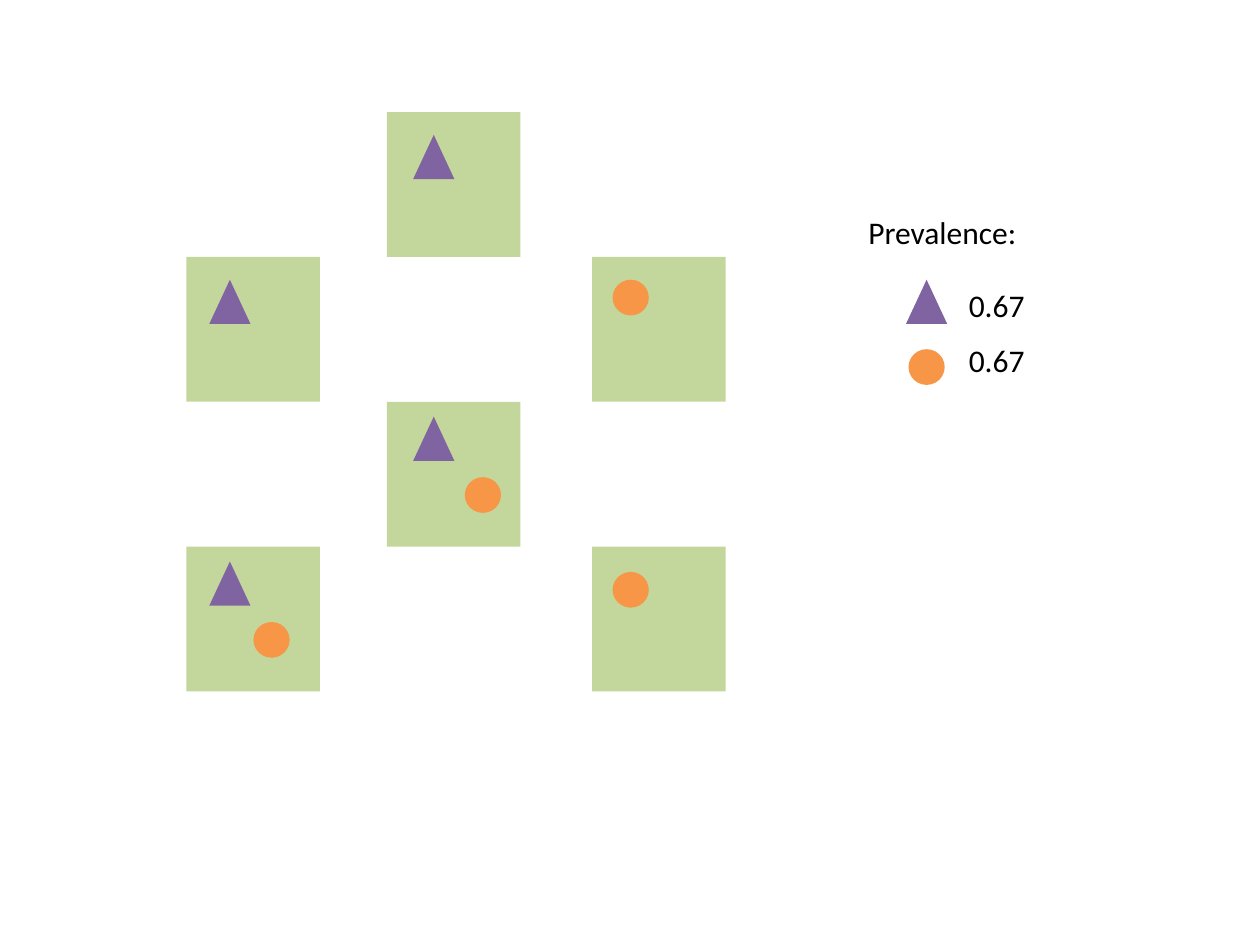
from dataclasses import dataclass

from pptx import Presentation
from pptx.dml.color import RGBColor
from pptx.enum.shapes import MSO_SHAPE
from pptx.enum.text import MSO_ANCHOR, MSO_AUTO_SIZE, PP_ALIGN
from pptx.util import Cm, Pt


@dataclass(frozen=True)
class Theme:
    patch: str = "C3D69B"
    triangle: str = "8064A2"
    circle: str = "F79646"
    text: str = "000000"
    font: str = "Calibri"
    size: int = 18


THEME = Theme()

SPECIES = {
    "triangle": (MSO_SHAPE.ISOSCELES_TRIANGLE, THEME.triangle, 0.83, 0.89),
    "circle": (MSO_SHAPE.OVAL, THEME.circle, 0.73, 0.72),
}

# column, row, occupants with their offsets inside the patch
PATCHES = [
    (0, 1, [("triangle", 0.46, 0.46)]),
    (1, 0, [("triangle", 0.53, 0.46)]),
    (1, 2, [("triangle", 0.53, 0.3), ("circle", 1.57, 1.52)]),
    (0, 3, [("triangle", 0.46, 0.3), ("circle", 1.35, 1.52)]),
    (2, 1, [("circle", 0.41, 0.46)]),
    (2, 3, [("circle", 0.41, 0.51)]),
]
HEADING = "Prevalence:"
PREVALENCE = [
    ("triangle", "0.67", 5.64, 5.64),
    ("circle", "0.67", 7.04, 6.76),
]

COLUMN_LEFTS = (3.76, 7.8, 11.94)
FIRST_ROW_TOP = 2.26
PATCH_WIDTH, PATCH_HEIGHT = 2.69, 2.92
LEGEND_CENTER, VALUE_LEFT = 18.68, 19.28


def add_solid(slide, preset, color, left, top, width, height):
    solid = slide.shapes.add_shape(preset, Cm(left), Cm(top), Cm(width), Cm(height))
    solid.shadow.inherit = False
    solid.fill.solid()
    solid.fill.fore_color.rgb = RGBColor.from_string(color)
    solid.line.fill.background()


def add_species(slide, species, left, top):
    preset, color, width, height = SPECIES[species]
    add_solid(slide, preset, color, left, top, width, height)


def write_label(label, wording):
    frame = label.text_frame
    frame.word_wrap = False
    frame.auto_size = MSO_AUTO_SIZE.SHAPE_TO_FIT_TEXT
    frame.vertical_anchor = MSO_ANCHOR.TOP
    paragraph = frame.paragraphs[0]
    paragraph.alignment = PP_ALIGN.LEFT
    run = paragraph.add_run()
    run.text = wording
    run.font.name = THEME.font
    run.font.size = Pt(THEME.size)
    run.font.color.rgb = RGBColor.from_string(THEME.text)


def main():
    deck = Presentation()
    deck.slide_width, deck.slide_height = Cm(25.4), Cm(19.05)
    slide = deck.slides.add_slide(deck.slide_layouts[5])

    heading = slide.shapes.title
    heading.left, heading.top = Cm(17.25), Cm(4.17)
    heading.width, heading.height = Cm(3.56), Cm(1.03)
    write_label(heading, HEADING)

    for column, row, occupants in PATCHES:
        left = COLUMN_LEFTS[column]
        top = FIRST_ROW_TOP + row * PATCH_HEIGHT
        add_solid(slide, MSO_SHAPE.RECTANGLE, THEME.patch, left, top, PATCH_WIDTH, PATCH_HEIGHT)
        for species, across, down in occupants:
            add_species(slide, species, left + across, top + down)

    for species, value, species_top, value_top in PREVALENCE:
        width = SPECIES[species][2]
        add_species(slide, species, LEGEND_CENTER - width / 2, species_top)
        share = slide.shapes.add_textbox(Cm(VALUE_LEFT), Cm(value_top), Cm(1.65), Cm(1.03))
        write_label(share, value)

    deck.save("out.pptx")


if __name__ == "__main__":
    main()
